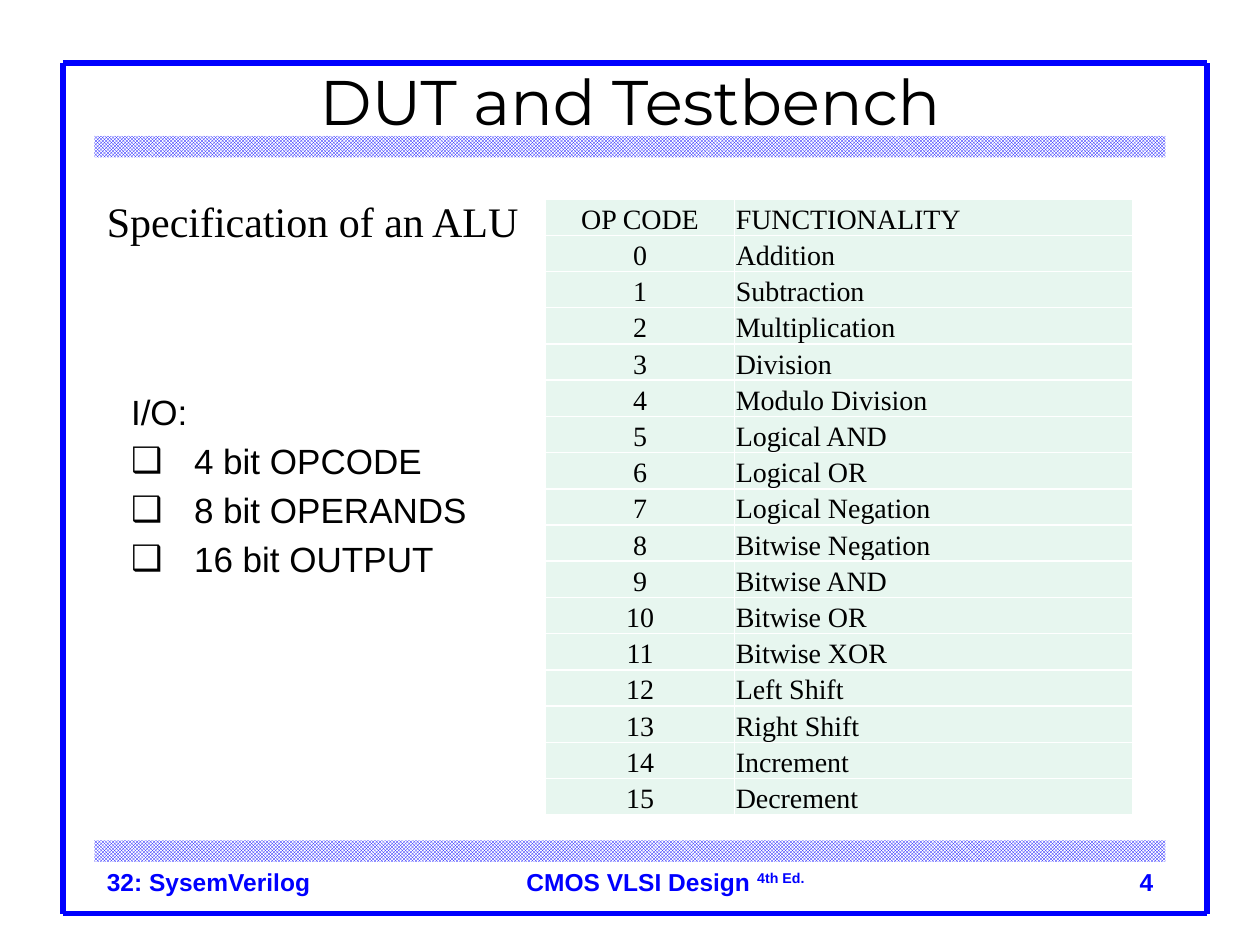
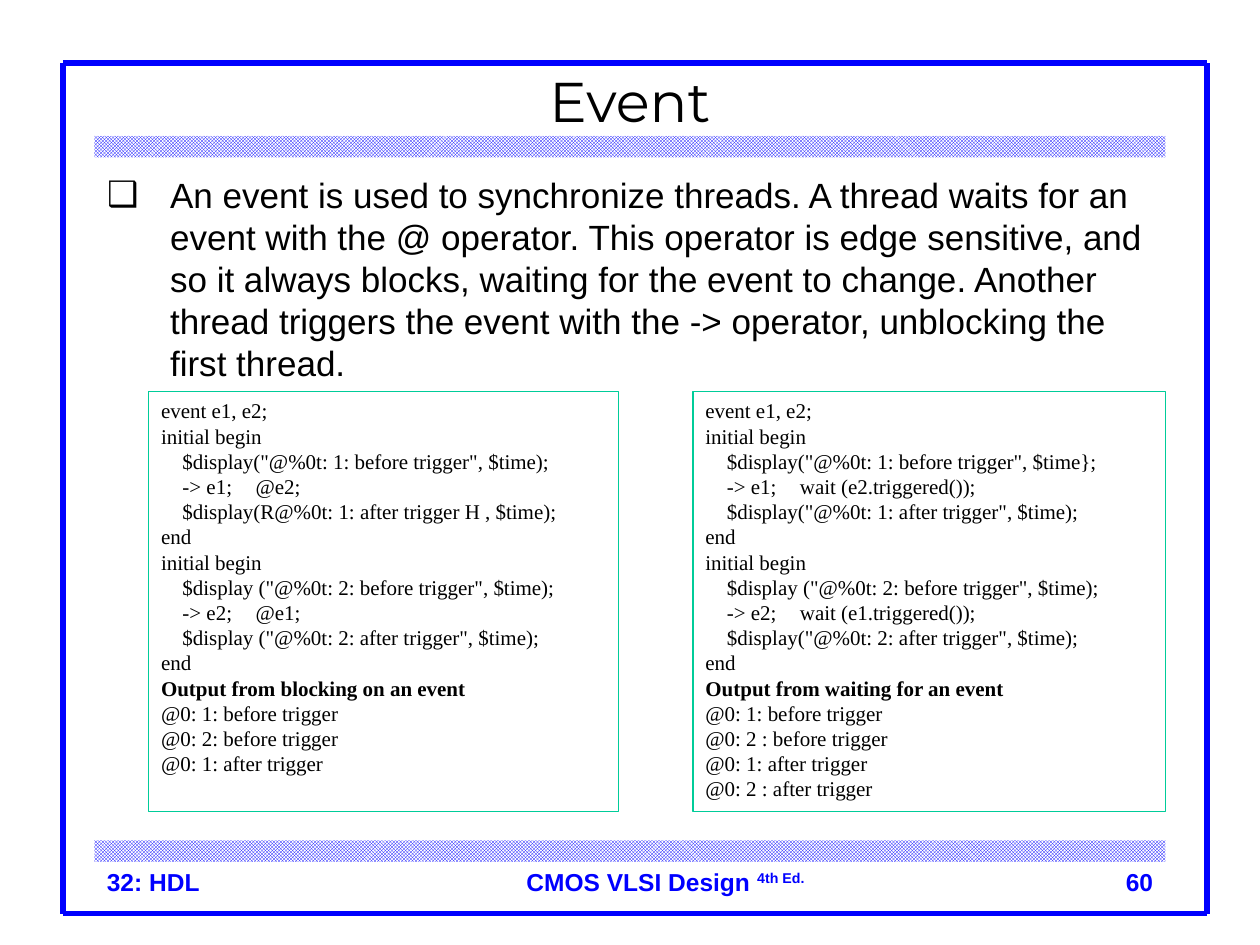
from dataclasses import dataclass

from lxml import etree
from pptx import Presentation
from pptx import util as u
from pptx.dml.color import RGBColor
from pptx.enum import dml, shapes, text
from pptx.oxml.ns import qn

COLORS = {
    "blue": "0000FF",
    "black": "000000",
    "white": "FFFFFF",
    "mint": "E7F6EF",
    "green": "00CC99",
}
SANS, SERIF, DISPLAY = "Arial", "Times New Roman", "Montserrat"
ALIGN = text.PP_ALIGN


@dataclass(frozen=True)
class Box:
    left: float
    top: float
    width: float
    height: float

    def lengths(self) -> tuple:
        return tuple(u.Inches(v) for v in (self.left, self.top, self.width, self.height))


@dataclass(frozen=True)
class Style:
    size: float
    font: str = SANS
    color: str = "black"
    bold: bool = False


@dataclass(frozen=True)
class CodePanel:
    box: Box
    code: list[str]
    heading: str
    output: list[str]


TITLE_BOX = Box(0.75, 0.42, 8.5, 0.75)
FRAME = Box(0.5, 0.5, 9.08, 6.75)
BANDS = [Box(0.75, top, 8.5, 0.17) for top in (1.08, 6.67)]
FOOTER = Style(14, color="blue", bold=True)
LIST = Style(20)
CODE = Style(12, SERIF)
CODE_TABS = (0.17, 0.75)

FUNCTIONS = [
    "Addition", "Subtraction", "Multiplication", "Division", "Modulo Division",
    "Logical AND", "Logical OR", "Logical Negation", "Bitwise Negation",
    "Bitwise AND", "Bitwise OR", "Bitwise XOR", "Left Shift", "Right Shift",
    "Increment", "Decrement",
]

EVENT_TEXT = (
    "An event is used to synchronize threads. A thread waits for an event with "
    "the @ operator. This operator is edge sensitive, and so it always blocks, "
    "waiting for the event to change. Another thread triggers the event with "
    "the -> operator, unblocking the first thread."
)

PANELS = [
    CodePanel(
        Box(1.18, 3.11, 3.73, 3.33),
        [
            "event e1, e2;",
            "initial begin",
            '\t$display("@%0t: 1: before trigger", $time);',
            "\t-> e1;\t@e2;",
            "\t$display(R@%0t: 1: after trigger H , $time);",
            "end",
            "initial begin",
            '\t$display ("@%0t: 2: before trigger", $time);',
            "\t-> e2;\t@e1;",
            '\t$display ("@%0t: 2: after trigger", $time);',
            "end",
        ],
        "Output from blocking on an event",
        ["@0: 1: before trigger", "@0: 2: before trigger", "@0: 1: after trigger"],
    ),
    CodePanel(
        Box(5.5, 3.11, 3.75, 3.33),
        [
            "event e1, e2;",
            "initial begin",
            '\t$display("@%0t: 1: before trigger", $time};',
            "\t-> e1;\twait (e2.triggered());",
            '\t$display("@%0t: 1: after trigger", $time);',
            "end",
            "initial begin",
            '\t$display ("@%0t: 2: before trigger", $time);',
            "\t-> e2;\twait (e1.triggered());",
            '\t$display("@%0t: 2: after trigger", $time);',
            "end",
        ],
        "Output from waiting for an event",
        ["@0: 1: before trigger", "@0: 2 : before trigger",
         "@0: 1: after trigger", "@0: 2 : after trigger"],
    ),
]


def rgb(name: str) -> RGBColor:
    return RGBColor.from_string(COLORS[name])


def style_paragraph(p, style: Style, align=ALIGN.LEFT) -> None:
    p.alignment = align
    for r in p.runs:
        r.font.size = u.Pt(style.size)
        r.font.name = style.font
        r.font.bold = style.bold
        r.font.color.rgb = rgb(style.color)


def place(sp, box: Box) -> None:
    sp.left, sp.top, sp.width, sp.height = box.lengths()


def add_text(s, box: Box, content: str, style: Style, align=ALIGN.LEFT):
    tf = s.shapes.add_textbox(*box.lengths()).text_frame
    tf.word_wrap = True
    p = tf.paragraphs[0]
    p.text = content
    style_paragraph(p, style, align)
    return p


def add_frame(s) -> None:
    left, top = FRAME.left, FRAME.top
    right, bottom = left + FRAME.width, top + FRAME.height
    edges = [
        (left, top, left, bottom),
        (left, top, right, top),
        (right, top, right, bottom),
        (left, bottom, right, bottom),
    ]
    for edge in edges:
        line = s.shapes.add_connector(
            shapes.MSO_CONNECTOR.STRAIGHT, *(u.Inches(v) for v in edge))
        line.line.color.rgb = rgb("blue")
        line.line.width = u.Pt(3)
        etree.SubElement(line._element.spPr, qn("a:effectLst"))


def add_band(s, box: Box) -> None:
    band = s.shapes.add_shape(shapes.MSO_SHAPE.RECTANGLE, *box.lengths())
    band.shadow.inherit = False
    band.line.fill.background()
    band.fill.patterned()
    band.fill.pattern = dml.MSO_PATTERN.SMALL_CHECKER_BOARD
    band.fill.fore_color.rgb = rgb("blue")
    band.fill.back_color.rgb = rgb("white")


def add_slide(prs, title: str, title_size: float, chapter: str, number: int):
    """Add a slide with the shared frame, bands, title and footers."""
    s = prs.slides.add_slide(prs.slide_layouts[1])
    add_frame(s)
    for band in BANDS:
        add_band(s, band)

    place(s.shapes.title, TITLE_BOX)
    tf = s.shapes.title.text_frame
    tf.text = title
    tf.auto_size = text.MSO_AUTO_SIZE.NONE
    tf.vertical_anchor = text.MSO_ANCHOR.MIDDLE
    style_paragraph(tf.paragraphs[0], Style(title_size, DISPLAY), ALIGN.CENTER)

    add_text(s, Box(0.75, 6.83, 8.5, 0.5), chapter, FOOTER)
    add_text(s, Box(7.17, 6.83, 2.08, 0.5), str(number), FOOTER, ALIGN.RIGHT)
    book = add_text(s, Box(4.08, 6.83, 2.5, 0.33), "CMOS VLSI Design ", FOOTER)
    edition = book.add_run()
    edition.text = "4th Ed."
    style_paragraph(book, FOOTER)
    edition.font._element.set("baseline", "30000")
    return s


def set_bullet(p, bulleted: bool) -> None:
    pPr = p._p.get_or_add_pPr()
    indent = u.Inches(0.5) if bulleted else 0
    pPr.set("marL", str(indent))
    pPr.set("indent", str(-indent))
    if bulleted:
        etree.SubElement(pPr, qn("a:buFont"), typeface=SANS)
        etree.SubElement(pPr, qn("a:buChar"), char="❑")
    else:
        etree.SubElement(pPr, qn("a:buNone"))


def fill_body(s, box: Box, bullets: list[str], lead: str = "") -> None:
    """Write an optional unbulleted lead line and the bullets in the body."""
    body = s.placeholders[1]
    place(body, box)
    tf = body.text_frame
    tf.text = "\n".join([lead, *bullets] if lead else bullets)
    tf.auto_size = text.MSO_AUTO_SIZE.NONE
    tf.vertical_anchor = text.MSO_ANCHOR.TOP
    for p in tf.paragraphs:
        style_paragraph(p, LIST)
        p.space_before = u.Pt(4)
        set_bullet(p, p.text != lead)


def set_borders(cell) -> None:
    tcPr = cell._tc.get_or_add_tcPr()
    for i, side in enumerate(("lnL", "lnR", "lnT", "lnB")):
        line = etree.Element(qn(f"a:{side}"), w=str(u.Pt(1)))
        fill = etree.SubElement(line, qn("a:solidFill"))
        etree.SubElement(fill, qn("a:srgbClr"), val=COLORS["white"])
        tcPr.insert(i, line)


def add_opcode_table(s, box: Box) -> None:
    rows = [("OP CODE", "FUNCTIONALITY")]
    rows += [(str(code), name) for code, name in enumerate(FUNCTIONS)]
    table = s.shapes.add_table(len(rows), 2, *box.lengths()).table
    table.first_row = table.horz_banding = False
    table.columns[0].width = u.Inches(1.5)
    table.columns[1].width = u.Inches(box.width - 1.5)
    for row, values in zip(table.rows, rows):
        row.height = u.Inches(box.height / len(rows))
        for cell, value, align in zip(row.cells, values, (ALIGN.CENTER, ALIGN.LEFT)):
            cell.text = value
            cell.vertical_anchor = text.MSO_ANCHOR.BOTTOM
            cell.margin_left = cell.margin_right = cell.margin_top = u.Inches(0.01)
            cell.margin_bottom = 0
            cell.fill.solid()
            cell.fill.fore_color.rgb = rgb("mint")
            set_borders(cell)
            style_paragraph(cell.text_frame.paragraphs[0], Style(16, SERIF), align)


def add_code_panel(s, panel: CodePanel) -> None:
    sp = s.shapes.add_shape(shapes.MSO_SHAPE.RECTANGLE, *panel.box.lengths())
    sp.shadow.inherit = False
    sp.fill.solid()
    sp.fill.fore_color.rgb = rgb("white")
    sp.line.color.rgb = rgb("green")
    sp.line.width = u.Pt(0.75)
    tf = sp.text_frame
    tf.word_wrap = True
    tf.vertical_anchor = text.MSO_ANCHOR.TOP
    tf.text = "\n".join([*panel.code, panel.heading, *panel.output])
    for p in tf.paragraphs:
        style_paragraph(p, CODE)
        tabs = etree.SubElement(p._p.get_or_add_pPr(), qn("a:tabLst"))
        for stop in CODE_TABS:
            etree.SubElement(tabs, qn("a:tab"), pos=str(u.Inches(stop)), algn="l")
    tf.paragraphs[len(panel.code)].runs[0].font.bold = True


def build_alu_slide(prs) -> None:
    s = add_slide(prs, "DUT and Testbench", 36, "32: SysemVerilog", 4)
    fill_body(s, Box(0.94, 3.05, 3.06, 1.91),
              ["4 bit OPCODE", "8 bit OPERANDS", "16 bit OUTPUT"], lead="I/O:")
    add_opcode_table(s, Box(4.33, 1.58, 4.66, 4.89))
    add_text(s, Box(0.75, 1.5, 3.5, 0.5), "Specification of an ALU", Style(24, SERIF))


def build_event_slide(prs) -> None:
    s = add_slide(prs, "Event", 32, "32: HDL", 60)
    fill_body(s, Box(0.75, 1.33, 8.5, 5.33), [EVENT_TEXT])
    for panel in PANELS:
        add_code_panel(s, panel)


def main() -> None:
    prs = Presentation()
    prs.slide_width, prs.slide_height = u.Inches(10), u.Inches(7.5)
    build_alu_slide(prs)
    build_event_slide(prs)
    prs.save("out.pptx")


if __name__ == "__main__":
    main()
